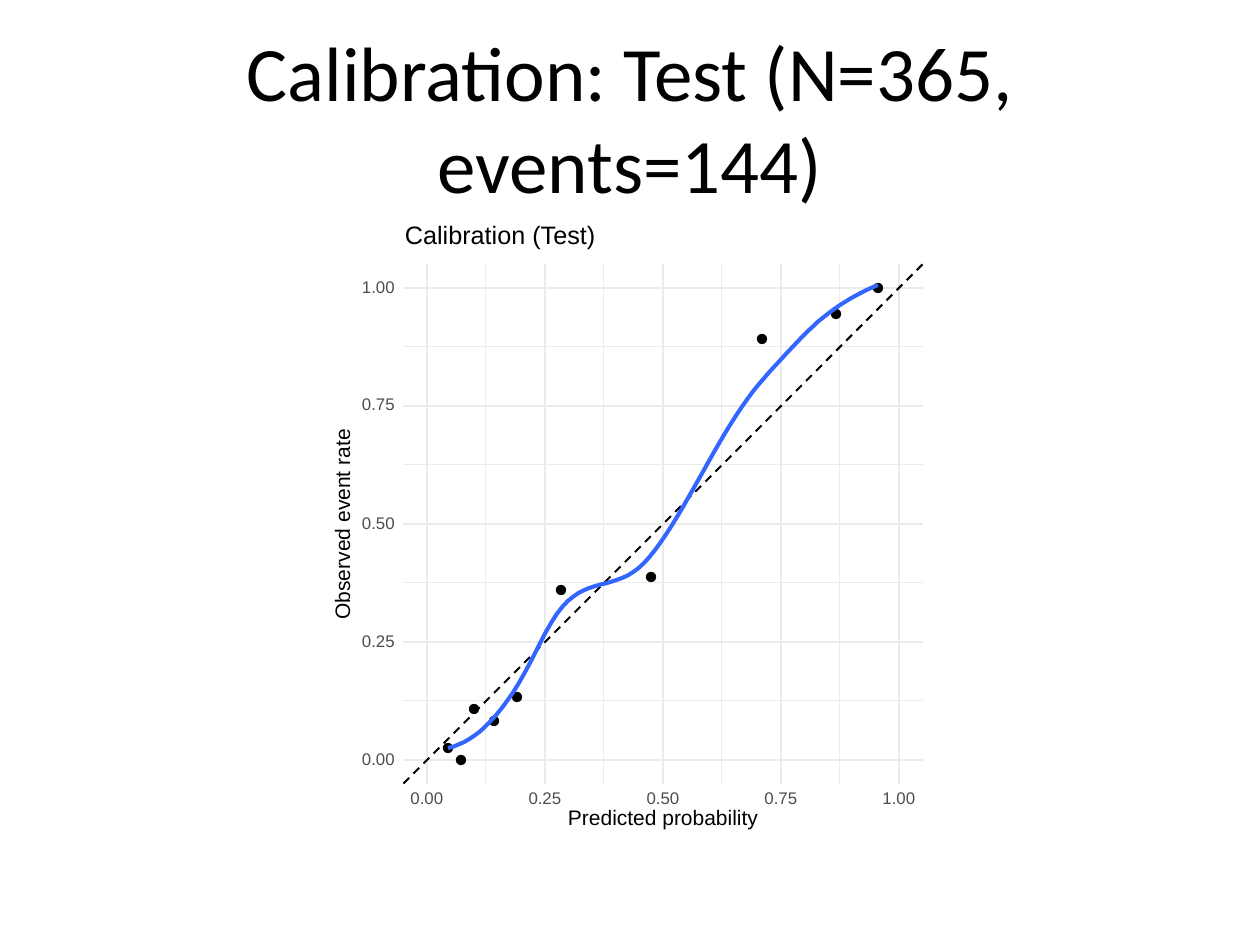
from pptx import Presentation
from pptx.dml.color import RGBColor
from pptx.enum.dml import MSO_LINE
from pptx.enum.shapes import MSO_CONNECTOR, MSO_SHAPE
from pptx.enum.text import MSO_ANCHOR, PP_ALIGN
from pptx.oxml.ns import qn
from pptx.util import Emu, Pt
from lxml import etree

STRAIGHT = MSO_CONNECTOR.STRAIGHT
RECTANGLE, OVAL = MSO_SHAPE.RECTANGLE, MSO_SHAPE.OVAL
DASH = MSO_LINE.DASH
MIDDLE, CENTER = MSO_ANCHOR.MIDDLE, PP_ALIGN.CENTER

TITLE = "Calibration: Test (N=365, events=144)"
PLOT_TITLE = "Calibration (Test)"
X_TITLE = "Predicted probability"
Y_TITLE = "Observed event rate"

MAJOR_TICKS = [0, 0.25, 0.5, 0.75, 1]
MINOR_TICKS = [(a + b) / 2 for a, b in zip(MAJOR_TICKS, MAJOR_TICKS[1:])]
AXIS_MIN, AXIS_MAX = -0.05, 1.05

# Centres of the observed points, in px
POINTS = [(448, 748), (461, 760), (474, 709), (494, 721), (517, 697),
          (561, 590), (651, 577), (762, 339), (836, 314), (878, 288)]

# Heights of the fitted curve at equal steps from CURVE_LEFT to CURVE_RIGHT, in px
CURVE_LEFT, CURVE_RIGHT = 448, 878
CURVE = [748, 747, 745, 742, 740, 736, 731, 727, 721, 714, 708, 701, 693, 684, 675, 664,
         653, 643, 631, 621, 612, 606, 600, 596, 592, 590, 587, 586, 585, 583, 582, 581,
         578, 576, 573, 570, 564, 558, 551, 543, 536, 527, 518, 509, 499, 490, 480, 470,
         461, 451, 441, 432, 423, 415, 407, 398, 392, 384, 378, 373, 367, 360, 354, 349,
         343, 338, 331, 326, 321, 318, 312, 309, 305, 301, 299, 295, 292, 290, 287, 285]

EMU_PER_PX = 914400 / 126
ORIGIN_X, ORIGIN_Y, UNIT = 427, 760, 472
POINT_SIZE = 9
TICK_WIDTH, TICK_HEIGHT = 33, 13


def px(length):
    return Emu(round(length * EMU_PER_PX))


def color(value):
    return RGBColor.from_string(value)


def plot_x(value):
    return ORIGIN_X + UNIT * value


def plot_y(value):
    return ORIGIN_Y - UNIT * value


def smoothed(values):
    """Average each value with up to two neighbours on either side."""
    result = []
    for i in range(len(values)):
        reach = min(2, i, len(values) - 1 - i)
        window = values[i - reach:i + reach + 1]
        result.append(sum(window) / len(window))
    return result


def add_filled(shapes, kind, box, fill, line_width=0):
    shape = shapes.add_shape(kind, *map(px, box))
    shape.shadow.inherit = False
    shape.fill.solid()
    shape.fill.fore_color.rgb = color(fill)
    if line_width:
        shape.line.color.rgb = color(fill)
        shape.line.width = Pt(line_width)
    else:
        shape.line.fill.background()


def add_line(shapes, start, end, line_color, width, dash=None):
    """Draw a line between two points given in axis values."""
    ends = [px(to_px(value)) for point in (start, end)
            for to_px, value in zip((plot_x, plot_y), point)]
    connector = shapes.add_connector(STRAIGHT, *ends)
    connector.line.color.rgb = color(line_color)
    connector.line.width = Pt(width)
    if dash:
        connector.line.dash_style = dash
    properties = connector._element.find(qn("p:spPr"))
    etree.SubElement(properties, qn("a:effectLst"))


def add_label(shapes, box, text, size, text_color="000000", rotation=0):
    label = shapes.add_textbox(*map(px, box))
    label.rotation = rotation
    frame = label.text_frame
    frame.word_wrap = False
    frame.vertical_anchor = MIDDLE
    frame.margin_left = frame.margin_right = frame.margin_top = frame.margin_bottom = 0
    frame.text = text
    paragraph = frame.paragraphs[0]
    paragraph.line_spacing = Pt(size)
    font = paragraph.runs[0].font
    font.name, font.size = "Arial", Pt(size)
    font.color.rgb = color(text_color)


def add_title(slide):
    title = slide.shapes.title
    title.left, title.top, title.width, title.height = map(px, (63, 38, 1134, 157))
    title.text_frame.text = TITLE
    title.text_frame.vertical_anchor = MIDDLE
    paragraph = title.text_frame.paragraphs[0]
    paragraph.alignment = CENTER
    font = paragraph.runs[0].font
    font.name, font.size = "Calibri", Pt(44)
    font.color.rgb = color("000000")


def add_grid(shapes):
    for ticks, width in ((MINOR_TICKS, 0.58), (MAJOR_TICKS, 1.16)):
        for tick in ticks:
            add_line(shapes, (AXIS_MIN, tick), (AXIS_MAX, tick), "EBEBEB", width)
        for tick in ticks:
            add_line(shapes, (tick, AXIS_MIN), (tick, AXIS_MAX), "EBEBEB", width)


def add_curve(shapes):
    step = (CURVE_RIGHT - CURVE_LEFT) / (len(CURVE) - 1)
    vertices = [(px(CURVE_LEFT + i * step), px(y)) for i, y in enumerate(smoothed(CURVE))]
    builder = shapes.build_freeform(*vertices[0])
    builder.add_line_segments(vertices[1:], close=False)
    curve = builder.convert_to_shape()
    curve.shadow.inherit = False
    curve.fill.background()
    curve.line.color.rgb = color("3366FF")
    curve.line.width = Pt(2.33)


def add_labels(shapes):
    for tick in MAJOR_TICKS:
        text = f"{tick:.2f}"
        y_box = (362, plot_y(tick) - TICK_HEIGHT / 2, TICK_WIDTH, TICK_HEIGHT)
        x_box = (plot_x(tick) - TICK_WIDTH / 2, 793, TICK_WIDTH, TICK_HEIGHT)
        for box in (y_box, x_box):
            add_label(shapes, box, text, 9.6, "4D4D4D")
    add_label(shapes, (568, 810, 198, 19), X_TITLE, 12)
    add_label(shapes, (245, 513, 198, 15), Y_TITLE, 12, rotation=270)
    add_label(shapes, (405, 225, 198, 24), PLOT_TITLE, 14.4)


def main():
    presentation = Presentation()
    presentation.slide_width, presentation.slide_height = px(1260), px(945)
    slide = presentation.slides.add_slide(presentation.slide_layouts[5])
    add_title(slide)

    shapes = slide.shapes.add_group_shape().shapes
    add_filled(shapes, RECTANGLE, (63, 221, 1134, 624), "FFFFFF", 0.75)
    add_filled(shapes, RECTANGLE, (326, 221, 607, 624), "FFFFFF")
    add_grid(shapes)
    add_line(shapes, (AXIS_MIN, AXIS_MIN), (AXIS_MAX, AXIS_MAX), "000000", 1.16, DASH)
    for x, y in POINTS:
        box = (x - POINT_SIZE / 2, y - POINT_SIZE / 2, POINT_SIZE, POINT_SIZE)
        add_filled(shapes, OVAL, box, "000000", 0.77)
    add_curve(shapes)
    add_labels(shapes)
    presentation.save("out.pptx")


if __name__ == "__main__":
    main()
